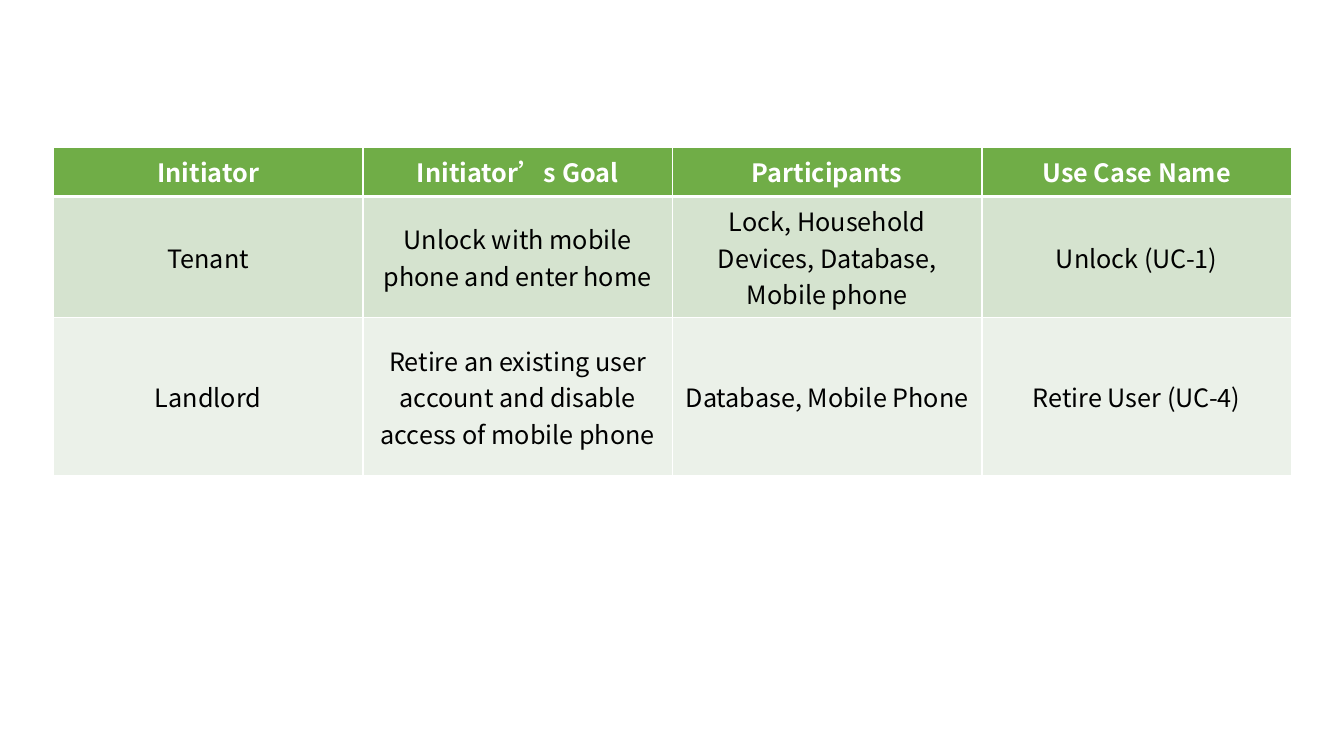
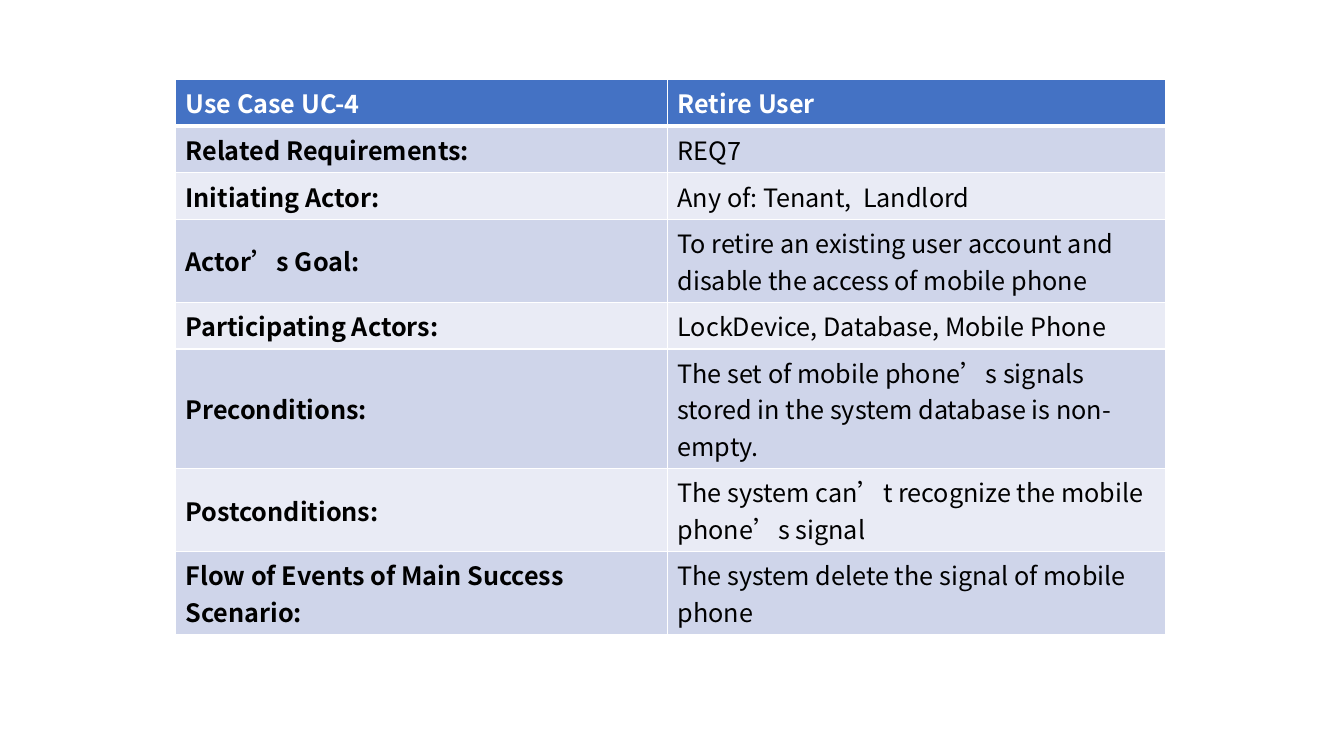
from dataclasses import dataclass

from lxml.etree import SubElement
from pptx import Presentation
from pptx.dml.color import RGBColor as RGB
from pptx.enum.text import MSO_ANCHOR as Anchor, PP_ALIGN as Align
from pptx.oxml.ns import qn
from pptx.util import Inches, Pt


@dataclass(frozen=True)
class Palette:
    header: str
    bands: tuple


@dataclass(frozen=True)
class Theme:
    font: str = "Noto Sans CJK SC"
    size: int = 18
    light: str = "FFFFFF"
    dark: str = "000000"
    thin: int = 1
    thick: int = 3
    green: Palette = Palette("70AD47", ("D5E3CF", "EBF1E9"))
    blue: Palette = Palette("4472C4", ("CFD5EA", "E9EBF5"))


class Deck:
    def __init__(self, theme):
        self.theme = theme
        self.prs = Presentation()
        self.prs.slide_width = Inches(13.33)
        self.prs.slide_height = Inches(7.5)
        self.s = None

    def slide(self):
        self.s = self.prs.slides.add_slide(self.prs.slide_layouts[6])

    def borders(self, cell, top, bottom):
        tc_pr = cell._tc.get_or_add_tcPr()
        thin = self.theme.thin
        for side, width in (("L", thin), ("R", thin), ("T", top), ("B", bottom)):
            ln = SubElement(tc_pr, qn(f"a:ln{side}"), w=str(Pt(width)))
            fill = SubElement(ln, qn("a:solidFill"))
            SubElement(fill, qn("a:srgbClr"), val=self.theme.light)

    def cell(self, cell, text, fill, color, bold, align):
        cell.vertical_anchor = Anchor.MIDDLE
        cell.fill.solid()
        cell.fill.fore_color.rgb = RGB.from_string(fill)
        cell.text_frame.text = text
        p = cell.text_frame.paragraphs[0]
        p.alignment = align
        r = p.runs[0]
        r.font.name = self.theme.font
        r.font.size = Pt(self.theme.size)
        r.font.bold = bold
        r.font.color.rgb = RGB.from_string(color)
        SubElement(r.font._element, qn("a:ea"), typeface=self.theme.font)

    def table(self, left, top, widths, heights, rows, palette,
              align=Align.LEFT, bold_labels=False):
        t = self.theme
        sp = self.s.shapes.add_table(
            len(rows), len(widths), Inches(left), Inches(top),
            Inches(sum(widths)), Inches(sum(heights)))
        table = sp.table
        for column, width in zip(table.columns, widths):
            column.width = Inches(width)
        for i, (height, texts) in enumerate(zip(heights, rows)):
            table.rows[i].height = Inches(height)
            header = i == 0
            fill = palette.header if header else palette.bands[(i - 1) % 2]
            for j, text in enumerate(texts):
                cell = table.cell(i, j)
                self.borders(cell, t.thick if i == 1 else t.thin,
                             t.thick if header else t.thin)
                self.cell(cell, text, fill, t.light if header else t.dark,
                          header or (bold_labels and j == 0), align)


USE_CASES = [
    ("Initiator", "Initiator’s Goal", "Participants", "Use Case Name"),
    ("Tenant", "Unlock with mobile phone and enter home",
     "Lock, Household Devices, Database, Mobile phone", "Unlock (UC-1)"),
    ("Landlord",
     "Retire an existing user account and disable access of mobile phone",
     "Database, Mobile Phone", "Retire User (UC-4)"),
]

RETIRE_USER = [
    ("Use Case UC-4", "Retire User"),
    ("Related Requirements:", "REQ7"),
    ("Initiating Actor:", "Any of: Tenant,  Landlord"),
    ("Actor’s Goal:",
     "To retire an existing user account and disable the access of mobile phone"),
    ("Participating Actors:", "LockDevice, Database, Mobile Phone"),
    ("Preconditions:",
     "The set of mobile phone’s signals stored in the system database is non-empty."),
    ("Postconditions:", "The system can’t recognize the mobile phone’s signal"),
    ("Flow of Events of Main Success Scenario:",
     "The system delete the signal of mobile phone"),
]

theme = Theme()
deck = Deck(theme)

deck.slide()
deck.table(0.53, 1.46, [3.07] * 4, [0.49, 1.2, 1.57], USE_CASES,
           theme.green, align=Align.CENTER)

deck.slide()
one_line, two_lines, three_lines = 0.46, 0.8, 1.14
deck.table(1.74, 0.79, [4.88, 4.94],
           [one_line] * 3 + [two_lines, one_line, three_lines] + [two_lines] * 2,
           RETIRE_USER, theme.blue, bold_labels=True)

deck.prs.save("out.pptx")
